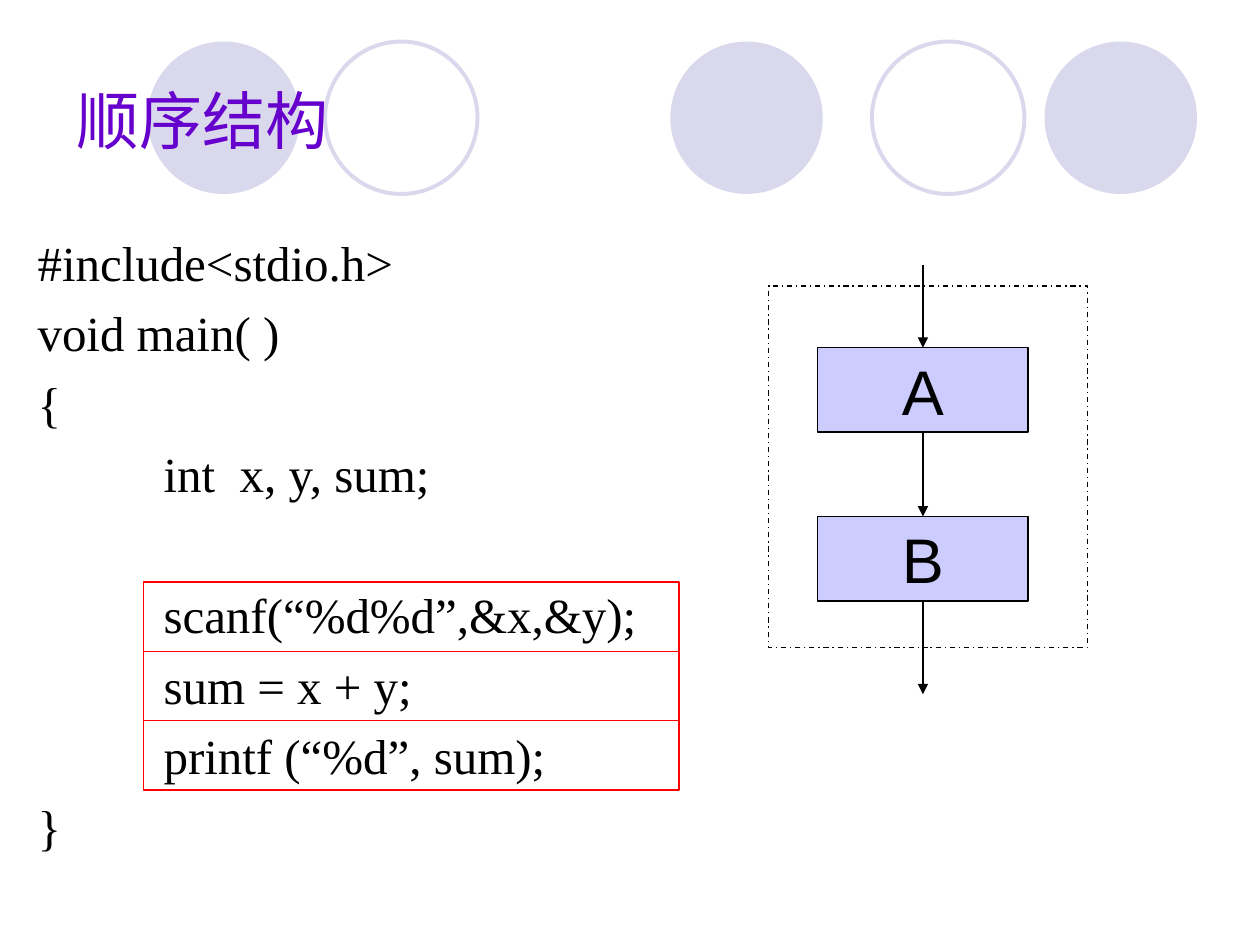
from lxml import etree
from pptx import Presentation
from pptx.dml.color import RGBColor
from pptx.enum.dml import MSO_LINE
from pptx.enum.shapes import MSO_CONNECTOR, MSO_SHAPE
from pptx.enum.text import MSO_ANCHOR, PP_ALIGN
from pptx.oxml.ns import qn
from pptx.util import Inches, Pt

OVAL = MSO_SHAPE.OVAL
RECTANGLE = MSO_SHAPE.RECTANGLE
PROCESS = MSO_SHAPE.FLOWCHART_PROCESS
STRAIGHT = MSO_CONNECTOR.STRAIGHT
DASH_DOT = MSO_LINE.DASH_DOT
TOP, MIDDLE = MSO_ANCHOR.TOP, MSO_ANCHOR.MIDDLE
LEFT, CENTER = PP_ALIGN.LEFT, PP_ALIGN.CENTER
TOP_SITE, BOTTOM_SITE = 0, 2

COLORS = {
    "circle": "D9D8EC",
    "title": "6600CC",
    "process": "CCCCFF",
    "black": "000000",
    "highlight": "FF0000",
}


def add_box(kind, left, top, width, height, fill=None, line=None, weight=0.75):
    shape = slide.shapes.add_shape(
        kind, Inches(left), Inches(top), Inches(width), Inches(height)
    )
    shape.shadow.inherit = False
    if fill:
        shape.fill.solid()
        shape.fill.fore_color.rgb = RGBColor.from_string(COLORS[fill])
    else:
        shape.fill.background()
    if line:
        shape.line.color.rgb = RGBColor.from_string(COLORS[line])
        shape.line.width = Pt(weight)
    else:
        shape.line.fill.background()
    return shape


def add_text(paragraph, text, font_name, size, color):
    run = paragraph.add_run()
    run.text = text
    run.font.name = font_name
    run.font.size = Pt(size)
    run.font.color.rgb = RGBColor.from_string(COLORS[color])


presentation = Presentation()
presentation.slide_width = Inches(10)
presentation.slide_height = Inches(7.5)
slide = presentation.slides.add_slide(presentation.slide_layouts[5])

# Decorative circles
for left, filled in [(5.32, True), (8.29, True), (1.17, True), (6.92, False), (2.58, False)]:
    if filled:
        add_box(OVAL, left, 0.33, 1.21, 1.21, fill="circle")
    else:
        add_box(OVAL, left, 0.33, 1.21, 1.21, line="circle", weight=2.25)

# Title, brought in front of the circles
title = slide.shapes.title
title.left, title.top = Inches(0.51), Inches(0.6)
title.width, title.height = Inches(7.92), Inches(0.7)
title.text_frame.vertical_anchor = TOP
paragraph = title.text_frame.paragraphs[0]
paragraph.alignment = LEFT
add_text(paragraph, "顺序结构", "Arial", 36, "title")
slide.shapes._spTree.append(title._element)

# Flowchart steps
steps = []
for label, top in [("A", 2.76), ("B", 4.1)]:
    step = add_box(PROCESS, 6.49, top, 1.67, 0.67, fill="process", line="black")
    step.text_frame.word_wrap = False
    step.text_frame.vertical_anchor = MIDDLE
    paragraph = step.text_frame.paragraphs[0]
    paragraph.alignment = CENTER
    add_text(paragraph, label, "Arial", 36, "black")
    steps.append(step)

# Flow arrows: into A, from A to B, out of B
step_a, step_b = steps
center_x = step_a.left + step_a.width // 2
for source, target, start_y, end_y in [
    (None, step_a, 2.1, 2.76),
    (step_a, step_b, 3.43, 4.1),
    (step_b, None, 4.77, 5.51),
]:
    arrow = slide.shapes.add_connector(
        STRAIGHT, center_x, Inches(start_y), center_x, Inches(end_y)
    )
    if source:
        arrow.begin_connect(source, BOTTOM_SITE)
    if target:
        arrow.end_connect(target, TOP_SITE)
    arrow.line.color.rgb = RGBColor.from_string(COLORS["black"])
    arrow.line.width = Pt(0.75)
    etree.SubElement(arrow.line._get_or_add_ln(), qn("a:tailEnd"), type="triangle")
    etree.SubElement(arrow._element.spPr, qn("a:effectLst"))

# Dashed frame around the sequence
frame = add_box(RECTANGLE, 6.1, 2.27, 2.53, 2.87, line="black")
frame.line.dash_style = DASH_DOT

# Program listing, with a gap of one line after the declaration
code_lines = [
    "#include<stdio.h>",
    "void main( )",
    "{",
    "\tint  x, y, sum;",
    "\tscanf(“%d%d”,&x,&y);",
    "\tsum = x + y;",
    "\tprintf (“%d”, sum);",
    "}",
]
code_box = slide.shapes.add_textbox(Inches(0.2), Inches(1.7), Inches(6.36), Inches(5.14))
code_frame = code_box.text_frame
code_frame.word_wrap = True
for index, code_line in enumerate(code_lines):
    paragraph = code_frame.add_paragraph() if index else code_frame.paragraphs[0]
    paragraph.line_spacing = 1.2
    if "scanf" in code_line:
        paragraph.space_before = Pt(40)
    if code_line.startswith("\t"):
        tab_list = etree.SubElement(paragraph._p.get_or_add_pPr(), qn("a:tabLst"))
        etree.SubElement(tab_list, qn("a:tab"), pos=str(Inches(1)), algn="l")
    add_text(paragraph, code_line, "Times New Roman", 28, "black")

# Outlines around the three statements
for row in range(3):
    add_box(RECTANGLE, 1.14, 4.62 + row * 0.55, 4.25, 0.55, line="highlight")

presentation.save("out.pptx")
